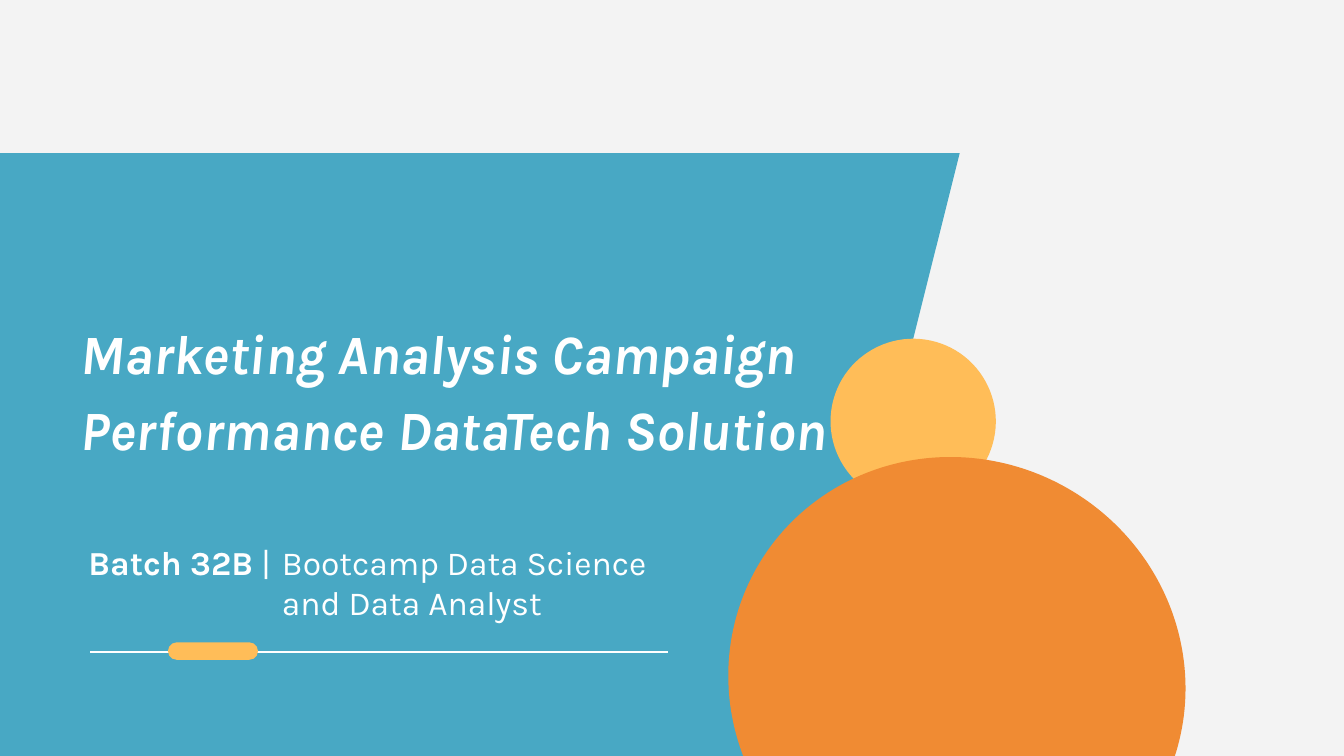
from pptx import Presentation
from pptx import util as u
from pptx.dml.color import RGBColor
from pptx.enum import shapes, text
from pptx.oxml.ns import qn
from lxml import etree

BACKGROUND = RGBColor(0xF3, 0xF3, 0xF3)
BLUE = RGBColor(0x48, 0xA8, 0xC4)
YELLOW = RGBColor(0xFF, 0xBD, 0x58)
ORANGE = RGBColor(0xF0, 0x8B, 0x33)
WHITE = RGBColor(0xFF, 0xFF, 0xFF)


class CoverSlide:
    font_name = "Karla"
    text_color = WHITE

    def __init__(self, presentation):
        self.slide = presentation.slides.add_slide(presentation.slide_layouts[6])
        fill = self.slide.background.fill
        fill.solid()
        fill.fore_color.rgb = BACKGROUND

    def add_shape(self, kind, box, color, adjustment=None, rotation=0):
        shape = self.slide.shapes.add_shape(kind, *map(u.Inches, box))
        shape.shadow.inherit = False
        shape.fill.solid()
        shape.fill.fore_color.rgb = color
        shape.line.fill.background()
        shape.rotation = rotation
        if adjustment is not None:
            shape.adjustments[0] = adjustment
        return shape

    def add_line(self, start, end, width):
        line = self.slide.shapes.add_connector(
            shapes.MSO_CONNECTOR.STRAIGHT, *map(u.Inches, start + end))
        line.line.color.rgb = self.text_color
        line.line.width = u.Pt(width)
        etree.SubElement(line._element.spPr, qn("a:effectLst"))
        return line

    def add_text(self, box, lines, size, italic=False, space_before=0,
                 line_spacing=None, hanging=0):
        text_box = self.slide.shapes.add_textbox(*map(u.Inches, box))
        frame = text_box.text_frame
        frame.word_wrap = True
        frame.vertical_anchor = text.MSO_ANCHOR.TOP
        paragraph = frame.paragraphs[0]
        paragraph.space_before = u.Pt(space_before)
        paragraph.line_spacing = line_spacing
        if hanging:
            properties = paragraph._p.get_or_add_pPr()
            properties.set("marL", str(u.Inches(hanging)))
            properties.set("indent", str(-u.Inches(hanging)))
        for index, line in enumerate(lines):
            if index:
                paragraph.add_line_break()
            for words, bold in line:
                run = paragraph.add_run()
                run.text = words
                run.font.name = self.font_name
                run.font.size = u.Pt(size)
                run.font.bold = bold
                run.font.italic = italic
                run.font.color.rgb = self.text_color
        return text_box


def main():
    presentation = Presentation()
    presentation.slide_width = u.Inches(10)
    presentation.slide_height = presentation.slide_width * 9 // 16
    cover = CoverSlide(presentation)
    kinds = shapes.MSO_SHAPE

    cover.add_shape(kinds.PARALLELOGRAM, (-1.15, 1.14, 8.29, 4.49), BLUE, 0.25)
    cover.add_text(
        (0.5, 2.25, 6.13, 1.61),
        [[("Marketing Analysis Campaign Performance DataTech Solution", True)]],
        29.7, italic=True, space_before=12, line_spacing=1.15)
    cover.add_text(
        (0.56, 3.98, 5.24, 0.87),
        [[("Batch 32B", True), (" |\tBootcamp Data Science ", False)],
         [("and Data Analyst", False)]],
        18, space_before=6.4, hanging=1.44)
    cover.add_line((0.67, 4.85), (4.97, 4.85), 0.75)
    cover.add_shape(kinds.ROUNDED_RECTANGLE, (1.25, 4.78, 0.67, 0.13), YELLOW, 0.5)
    cover.add_shape(kinds.OVAL, (6.18, 2.52, 1.23, 1.23), YELLOW, rotation=327.1)
    cover.add_shape(kinds.OVAL, (5.46, 3.36, 3.32, 3.43), ORANGE, rotation=300.4)

    presentation.save("out.pptx")


if __name__ == "__main__":
    main()
